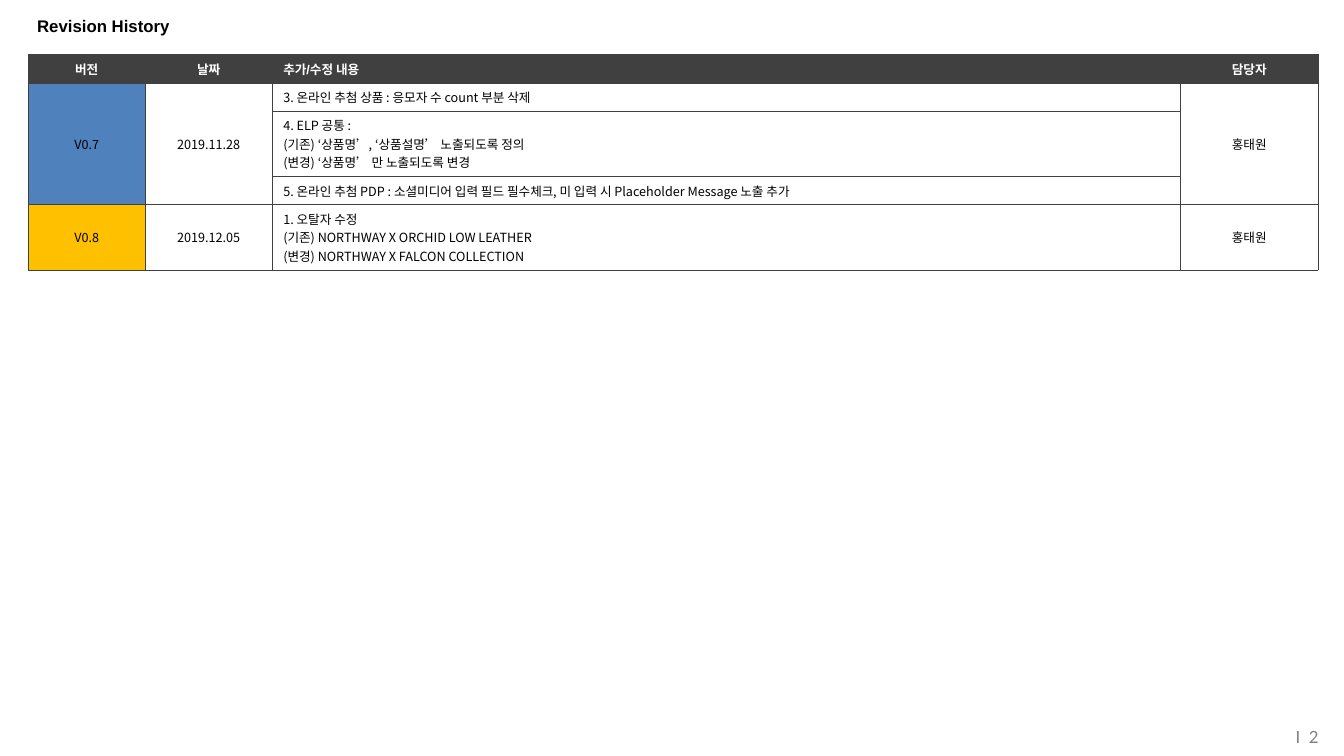
from dataclasses import dataclass

from lxml.etree import SubElement
from pptx import Presentation
from pptx.dml.color import RGBColor as Color
from pptx.enum.text import MSO_ANCHOR as Anchor, PP_ALIGN as Align
from pptx.oxml.ns import qn
from pptx.util import Inches, Pt


@dataclass(frozen=True)
class Theme:
    """Colours, fonts and type sizes of the slide."""
    dark: str = "404040"
    grey: str = "808080"
    white: str = "FFFFFF"
    black: str = "000000"
    blue: str = "4F81BD"
    amber: str = "FFC000"
    heading_font: str = "Arial"
    body_font: str = "Noto Sans CJK KR"
    number_font: str = "Lato"
    heading_size: float = 12
    table_size: float = 9
    border_width: float = 0.25


class RevisionSlide:
    """Draws the elements of one slide in one theme."""

    def __init__(self, presentation, theme):
        self.theme = theme
        self.slide = presentation.slides.add_slide(presentation.slide_layouts[6])

    def fill_text(self, frame, text, font, size, color, bold=False, align=Align.LEFT):
        """Fill a text frame with one paragraph per line."""
        frame.text = text
        for paragraph in frame.paragraphs:
            paragraph.alignment = align
            paragraph.font.name = font
            paragraph.font.size = Pt(size)
            paragraph.font.bold = bold
            paragraph.font.color.rgb = Color.from_string(color)
            properties = paragraph.font._element
            SubElement(properties, qn("a:ea"), typeface=self.theme.body_font)

    def text(self, box, text, font, color, bold=False, align=Align.LEFT, insets=(0.1, 0.05)):
        """Add a text box centred vertically."""
        shape = self.slide.shapes.add_textbox(*map(Inches, box))
        frame = shape.text_frame
        frame.word_wrap = True
        frame.vertical_anchor = Anchor.MIDDLE
        frame.margin_left = frame.margin_right = Inches(insets[0])
        frame.margin_top = frame.margin_bottom = Inches(insets[1])
        self.fill_text(frame, text, font, self.theme.heading_size, color, bold, align)

    def border(self, cell):
        """Give a cell thin lines on its four sides."""
        properties = cell._tc.get_or_add_tcPr()
        for side in ("lnL", "lnR", "lnT", "lnB"):
            line = SubElement(properties, qn(f"a:{side}"), w=str(Pt(self.theme.border_width)))
            fill = SubElement(line, qn("a:solidFill"))
            SubElement(fill, qn("a:srgbClr"), val=self.theme.dark)

    def table(self, left, top, widths, heights, rows, merges, fills):
        """Add the revision table with a dark header row."""
        theme = self.theme
        table = self.slide.shapes.add_table(
            len(rows), len(widths), Inches(left), Inches(top),
            Inches(sum(widths)), Inches(sum(heights))).table
        table.horz_banding = False
        for column, width in zip(table.columns, widths):
            column.width = Inches(width)
        for row, height in zip(table.rows, heights):
            row.height = Inches(height)
        for row_index, row in enumerate(rows):
            header = row_index == 0
            for column_index, text in enumerate(row):
                cell = table.cell(row_index, column_index)
                cell.margin_left = cell.margin_right = Inches(0.11)
                cell.margin_top = cell.margin_bottom = Inches(0.05)
                cell.vertical_anchor = Anchor.MIDDLE
                self.border(cell)
                fill = theme.dark if header else fills.get((row_index, column_index))
                if fill:
                    cell.fill.solid()
                    cell.fill.fore_color.rgb = Color.from_string(fill)
                else:
                    cell.fill.background()
                self.fill_text(
                    cell.text_frame, text,
                    theme.heading_font if header else theme.body_font,
                    theme.table_size, theme.white if header else theme.black,
                    header, Align.LEFT if column_index == 2 else Align.CENTER)
        for first, last, column in merges:
            table.cell(first, column).merge(table.cell(last, column))


ROWS = [
    ("버전", "날짜", "추가/수정 내용", "담당자"),
    ("V0.7", "2019.11.28", "3. 온라인 추첨 상품 : 응모자 수 count 부분 삭제", "홍태원"),
    ("", "", "4. ELP 공통 :\n(기존) ‘상품명’, ‘상품설명’ 노출되도록 정의\n"
             "(변경) ‘상품명’ 만 노출되도록 변경", ""),
    ("", "", "5. 온라인 추첨 PDP : 소셜미디어 입력 필드 필수체크, "
             "미 입력 시 Placeholder Message 노출 추가", ""),
    ("V0.8", "2019.12.05", "1. 오탈자 수정\n(기존) NORTHWAY X ORCHID LOW LEATHER\n"
                           "(변경) NORTHWAY X FALCON COLLECTION", "홍태원"),
]


def main():
    """Build and save the revision history slide."""
    presentation = Presentation()
    presentation.slide_width = Inches(13.33)
    presentation.slide_height = Inches(7.5)
    theme = Theme()
    page = RevisionSlide(presentation, theme)
    page.text((11.15, 7.11, 1.93, 0.39), "I  2", theme.number_font, theme.grey,
              align=Align.RIGHT, insets=(0, 0))
    page.table(0.28, 0.54, (1.16, 1.26, 9.01, 1.36), (0.28, 0.28, 0.65, 0.28, 0.65), ROWS,
               merges=[(1, 3, column) for column in (0, 1, 3)],
               fills={(1, 0): theme.blue, (4, 0): theme.amber})
    page.text((0.27, 0.07, 12.79, 0.38), "Revision History", theme.heading_font,
              theme.black, bold=True)
    presentation.save("out.pptx")


if __name__ == "__main__":
    main()
